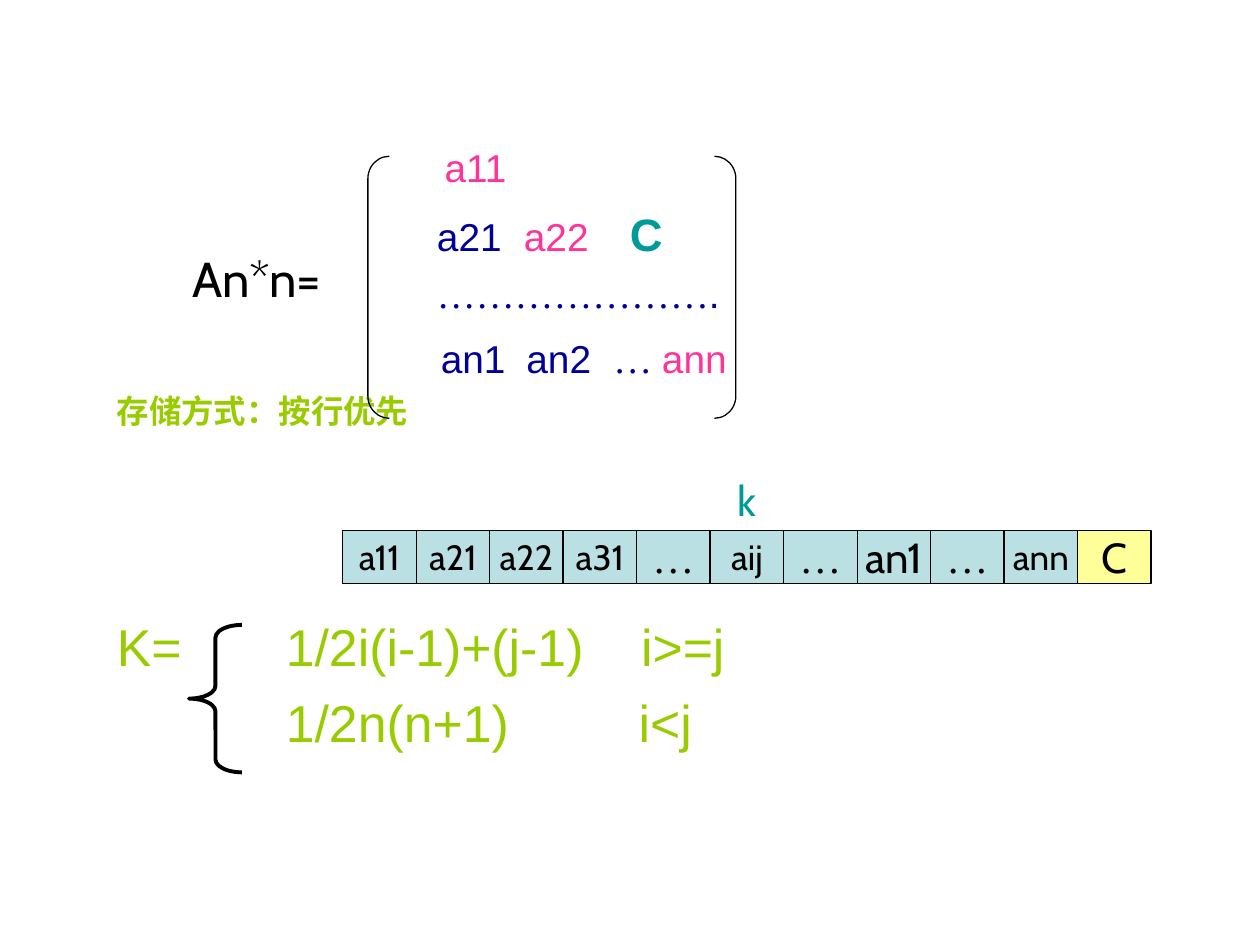
"""Builds a slide on row-major storage of a symmetric matrix."""
import pptx
import pptx.dml.color
import pptx.enum.shapes
import pptx.enum.text
import pptx.util
from lxml import etree

Inches = pptx.util.Inches
Pt = pptx.util.Pt
RGBColor = pptx.dml.color.RGBColor
Shape = pptx.enum.shapes.MSO_SHAPE

BLACK = RGBColor(0x00, 0x00, 0x00)
WHITE = RGBColor(0xFF, 0xFF, 0xFF)
PINK = RGBColor(0xFF, 0x33, 0x99)
NAVY = RGBColor(0x00, 0x00, 0x99)
TEAL = RGBColor(0x00, 0x99, 0x99)
LIME = RGBColor(0x99, 0xCC, 0x00)
PALE_BLUE = RGBColor(0xBB, 0xE0, 0xE3)
PALE_YELLOW = RGBColor(0xFF, 0xFF, 0x99)

SANS, SERIF, LABEL = "Arial", "Times New Roman", "Cabin"

FORMULAS_PLACE = (0.83, 0.99, 8.5, 5.17)
FORMULA_FIELDS = ("height", "before", "stops", "runs")
FORMULAS = [
    (34.2, 0, [2.6], [("\ta11", 22.2, SANS, PINK, False)]),
    (32, 8, [2.54, 3.23, 4.07], [
        ("\ta21", 22.2, SANS, NAVY, False),
        ("\ta22", 22.2, SANS, PINK, False),
        ("\tC", 25.9, SANS, TEAL, True)]),
    (26, 6, [2.54], [
        ("\t…………………", 22.2, SERIF, NAVY, False),
        (".", 22.2, SANS, NAVY, False)]),
    (30, 6.8, [2.57, 3.25, 3.94], [
        ("\tan1\tan2", 22.2, SANS, NAVY, False),
        ("\t… ", 22.2, SERIF, NAVY, False),
        ("ann", 22.2, SANS, PINK, False)]),
    (24, 4, [], [("存储方式：按行优先", 18.5, SANS, LIME, True)]),
    (36, 105, [1.34, 4.16], [("K=\t1/2i(i-1)+(j-1)\ti>=j", 29.6, SANS, LIME, False)]),
    (36, 7.6, [1.34, 4.14], [("\t1/2n(n+1)\ti<j", 29.6, SANS, LIME, False)]),
]

CELLS = [("a11", 20), ("a21", 20), ("a22", 20), ("a31", 20), ("…", 24), ("aij", 20),
         ("…", 24), ("an1", 24), ("…", 24), ("ann", 20), ("C", 24)]
CELL_LEFT, CELL_TOP, CELL_HEIGHT = 2.72, 4.21, 0.42
CELL_WIDTH = 7 / 12

BRACKETS = [
    (Shape.LEFT_BRACKET, (2.92, 1.24, 0.17, 2.08), 0.75, [1.04]),
    (Shape.RIGHT_BRACKET, (5.67, 1.24, 0.17, 2.08), 0.75, [1.04]),
    (Shape.LEFT_BRACE, (1.5, 4.96, 0.42, 1.17), 2.25, [0.24, 0.5]),
]


def add_run(paragraph, text, size, font, colour, bold=False):
    run = paragraph.add_run()
    run.text = text
    run.font.size = Pt(size)
    run.font.name = font
    run.font.color.rgb = colour
    run.font.bold = bold


def set_tabs(paragraph, stops):
    properties = paragraph._p.get_or_add_pPr()
    namespace = properties.nsmap["a"]
    tabs = etree.SubElement(properties, f"{{{namespace}}}tabLst")
    for stop in stops:
        etree.SubElement(tabs, f"{{{namespace}}}tab", pos=str(Inches(stop)), algn="l")


def add_formulas(slide):
    frame = slide.shapes.add_textbox(*map(Inches, FORMULAS_PLACE)).text_frame
    frame.word_wrap = True
    for index, values in enumerate(FORMULAS):
        formula = dict(zip(FORMULA_FIELDS, values))
        paragraph = frame.add_paragraph() if index else frame.paragraphs[0]
        if formula["stops"]:
            set_tabs(paragraph, formula["stops"])
        paragraph.line_spacing = Pt(formula["height"])
        if index:
            paragraph.space_before = Pt(formula["before"])
        for run in formula["runs"]:
            add_run(paragraph, *run)


def add_box(slide, place, text, size, fill, line, colour=BLACK):
    box = slide.shapes.add_shape(Shape.RECTANGLE, *map(Inches, place))
    box.shadow.inherit = False
    box.fill.solid()
    box.fill.fore_color.rgb = fill
    box.line.color.rgb = line
    box.line.width = Pt(0.75)
    frame = box.text_frame
    frame.word_wrap = False
    frame.vertical_anchor = pptx.enum.text.MSO_ANCHOR.MIDDLE
    paragraph = frame.paragraphs[0]
    paragraph.alignment = pptx.enum.text.PP_ALIGN.CENTER
    add_run(paragraph, text, size, SERIF if text == "…" else LABEL, colour)


def add_bracket(slide, kind, place, weight, adjustments):
    bracket = slide.shapes.add_shape(kind, *map(Inches, place))
    bracket.shadow.inherit = False
    bracket.fill.background()
    bracket.line.color.rgb = BLACK
    bracket.line.width = Pt(weight)
    for index, value in enumerate(adjustments):
        bracket.adjustments[index] = value


def main():
    deck = pptx.Presentation()
    deck.slide_width, deck.slide_height = Inches(10), Inches(7.5)
    slide = deck.slides.add_slide(deck.slide_layouts[6])
    add_formulas(slide)
    add_box(slide, (1.33, 1.58, 1.42, 1.25), "An*n=", 28, WHITE, WHITE)
    for bracket in BRACKETS:
        add_bracket(slide, *bracket)
    add_box(slide, (5.72, 3.8, 0.42, 0.33), "k", 24, WHITE, WHITE, TEAL)
    for index, (text, size) in enumerate(CELLS):
        place = (CELL_LEFT + index * CELL_WIDTH, CELL_TOP, CELL_WIDTH, CELL_HEIGHT)
        add_box(slide, place, text, size, PALE_YELLOW if text == "C" else PALE_BLUE, BLACK)
    deck.save("out.pptx")


if __name__ == "__main__":
    main()
